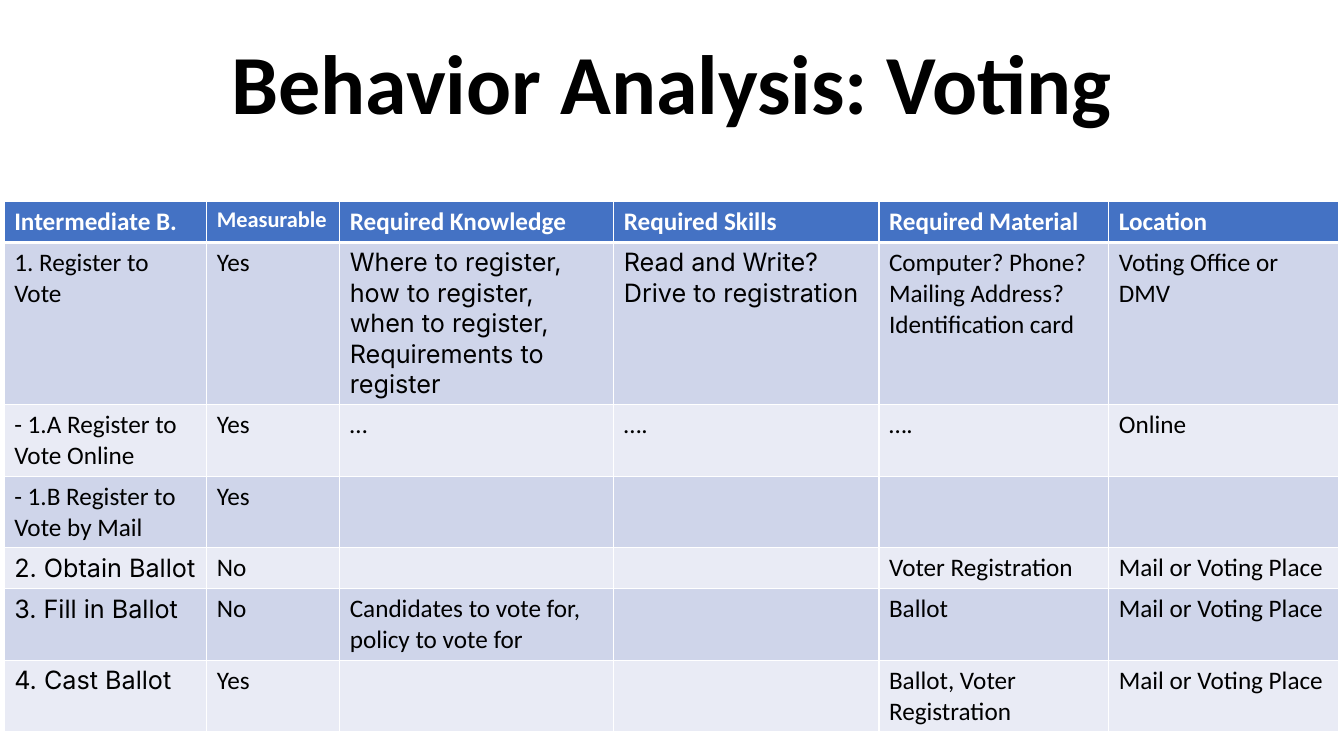
from dataclasses import dataclass

from lxml.etree import SubElement
from pptx import Presentation
from pptx.dml.color import RGBColor
from pptx.enum.text import MSO_ANCHOR, PP_ALIGN
from pptx.oxml.ns import qn
from pptx.util import Pt


@dataclass(frozen=True)
class Theme:
    ink: str = "000000"
    white: str = "FFFFFF"
    header: str = "4472C4"
    bands: tuple = ("CFD5EA", "E9EBF5")
    font: str = "Calibri"
    alternate_font: str = "Inter"
    title_size: int = 60
    body_size: int = 18
    small_size: int = 16
    thin_line: int = 1
    thick_line: int = 3


THEME = Theme()

COLUMN_WIDTHS = (144.7, 95, 195.8, 189.4, 164.2, 164.2)
ROW_HEIGHT = 29.2
ROWS = (
    ("Intermediate B.", "Measurable", "Required Knowledge", "Required Skills",
     "Required Material", "Location"),
    ("1. Register to Vote", "Yes",
     "Where to register, how to register, when to register, Requirements to register",
     "Read and Write?\nDrive to registration",
     "Computer? Phone? Mailing Address? Identification card", "Voting Office or DMV"),
    ("- 1.A Register to Vote Online", "Yes", "…", "….", "….", "Online"),
    ("- 1.B Register to Vote by Mail", "Yes", "", "", "", ""),
    ("2. Obtain Ballot", "No", "", "", "Voter Registration", "Mail or Voting Place"),
    ("3. Fill in Ballot", "No", "Candidates to vote for, policy to vote for", "",
     "Ballot", "Mail or Voting Place"),
    ("4. Cast Ballot", "Yes", "", "", "Ballot, Voter Registration",
     "Mail or Voting Place"),
)
# Row and column of the cells set in the alternate font
ALTERNATE_CELLS = {(1, 2), (1, 3), (4, 0), (5, 0), (6, 0)}


def write_text(frame, text, size=THEME.body_size, font=THEME.font, color=THEME.ink,
               bold=False, align=PP_ALIGN.LEFT, line_spacing=None):
    frame.text = text
    for para in frame.paragraphs:
        para.alignment = align
        para.line_spacing = line_spacing
        para.font.size = Pt(size)
        for span in para.runs:
            span.font.size = Pt(size)
            span.font.name = font
            span.font.bold = bold
            span.font.color.rgb = RGBColor.from_string(color)


def set_borders(cell, top, bottom):
    properties = cell._tc.get_or_add_tcPr()
    widths = {"L": THEME.thin_line, "R": THEME.thin_line, "T": top, "B": bottom}
    for side, width in widths.items():
        line = SubElement(properties, qn(f"a:ln{side}"), w=str(Pt(width)))
        fill = SubElement(line, qn("a:solidFill"))
        SubElement(fill, qn("a:srgbClr"), val=THEME.white)


def add_title(slide, left, top, width, height):
    title = slide.shapes.title
    title.left, title.top = Pt(left), Pt(top)
    title.width, title.height = Pt(width), Pt(height)
    frame = title.text_frame
    frame.word_wrap = True
    frame.vertical_anchor = MSO_ANCHOR.BOTTOM
    write_text(frame, "Behavior Analysis: Voting", size=THEME.title_size, bold=True,
               align=PP_ALIGN.CENTER, line_spacing=0.9)


def format_cell(cell, text, row, column):
    is_header = row == 0
    # Borders come before the fill in the cell properties
    set_borders(cell,
                top=THEME.thick_line if row == 1 else THEME.thin_line,
                bottom=THEME.thick_line if is_header else THEME.thin_line)
    cell.fill.solid()
    fill = THEME.header if is_header else THEME.bands[(row - 1) % 2]
    cell.fill.fore_color.rgb = RGBColor.from_string(fill)
    write_text(cell.text_frame, text,
               size=THEME.small_size if (row, column) == (0, 1) else THEME.body_size,
               font=THEME.alternate_font if (row, column) in ALTERNATE_CELLS else THEME.font,
               color=THEME.white if is_header else THEME.ink,
               bold=is_header)


def add_behavior_table(slide, left, top):
    frame = slide.shapes.add_table(len(ROWS), len(COLUMN_WIDTHS), Pt(left), Pt(top),
                                   Pt(sum(COLUMN_WIDTHS)), Pt(ROW_HEIGHT * len(ROWS)))
    table = frame.table
    for column, width in zip(table.columns, COLUMN_WIDTHS):
        column.width = Pt(width)
    for row_index, texts in enumerate(ROWS):
        table.rows[row_index].height = Pt(ROW_HEIGHT)
        for column_index, text in enumerate(texts):
            format_cell(table.cell(row_index, column_index), text, row_index, column_index)


def main():
    deck = Presentation()
    deck.slide_width, deck.slide_height = Pt(960), Pt(540)
    page = deck.slides.add_slide(deck.slide_layouts[5])

    # Title
    add_title(page, left=66, top=13, width=828, height=85)

    # Table of voting behaviors
    add_behavior_table(page, left=3, top=144)

    deck.save("out.pptx")


if __name__ == "__main__":
    main()
